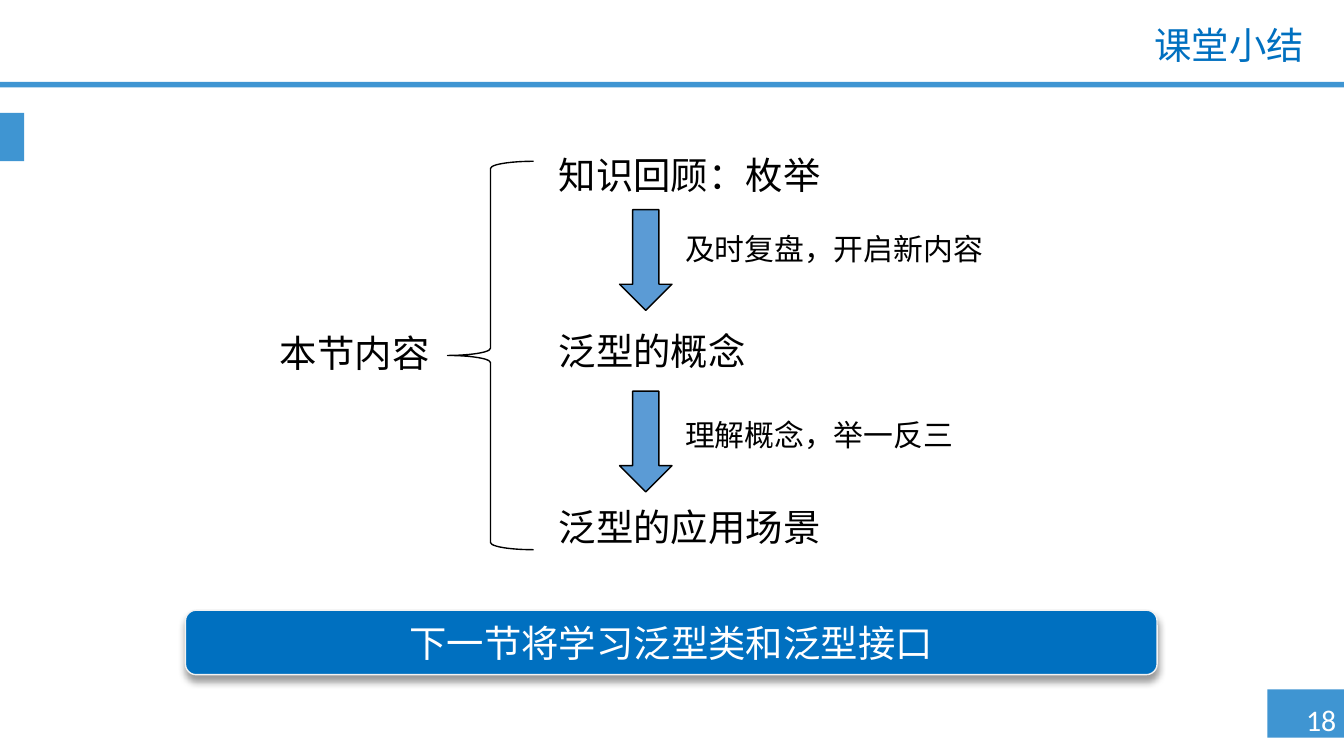
from pptx import Presentation
from pptx.dml.color import RGBColor
from pptx.enum.shapes import MSO_SHAPE as Preset
from pptx.enum.text import MSO_ANCHOR as Anchor, PP_ALIGN as Align
from pptx.oxml import parse_xml
from pptx.oxml.ns import nsdecls, qn
from pptx.util import Inches, Pt

COLORS = {
    "bar": "3F95D2",
    "accent": "0070C0",
    "arrow": "5B9BD5",
    "black": "000000",
    "white": "FFFFFF",
    "border": "F2F2F2",
}


def rgb(name):
    return RGBColor.from_string(COLORS[name])


def add_shape(parent, preset, left, top, width, height, fill=None, line=None):
    shape = parent.shapes.add_shape(
        preset, Inches(left), Inches(top), Inches(width), Inches(height))
    shape.shadow.inherit = False
    if fill:
        shape.fill.solid()
        shape.fill.fore_color.rgb = rgb(fill)
    else:
        shape.fill.background()
    if line:
        shape.line.color.rgb = rgb(line)
        shape.line.width = Pt(0.75)
    else:
        shape.line.fill.background()
    return shape


def write_text(shape, text, size=20, color="black", font="Arial",
               align=Align.LEFT, anchor=Anchor.TOP, wrap=True, spacing=None):
    frame = shape.text_frame
    frame.word_wrap = wrap
    frame.vertical_anchor = anchor
    paragraph = frame.paragraphs[0]
    paragraph.alignment = align
    if spacing:
        paragraph.line_spacing = spacing
    run = paragraph.add_run()
    run.text = text
    run.font.size = Pt(size)
    run.font.name = font
    run.font.color.rgb = rgb(color)


def add_text(parent, text, left, top, width, height, **text_format):
    box = parent.shapes.add_textbox(
        Inches(left), Inches(top), Inches(width), Inches(height))
    write_text(box, text, **text_format)


def add_frame(slide, width, title, number):
    # Header rule, side tab and page number block
    add_shape(slide, Preset.RECTANGLE, width - 0.57, 5.13, 0.57, 0.36, fill="bar")
    add_shape(slide, Preset.RECTANGLE, 0, 0.61, width, 0.04, fill="bar")
    add_shape(slide, Preset.RECTANGLE, 0, 0.84, 0.18, 0.36, fill="bar")
    add_text(slide, number, width - 0.43, 5.17, 0.52, 0.37, size=16,
             color="white", font="Calibri", align=Align.CENTER, wrap=False)
    add_text(slide, title, 2.4, 0.15, width - 2.6, 0.4, color="accent",
             align=Align.RIGHT, anchor=Anchor.MIDDLE, spacing=0.9)


def add_overview(slide, left, top, heading, topics, transitions):
    # Heading with its brace
    outline = slide.shapes.add_group_shape()
    add_shape(outline, Preset.LEFT_BRACE, left + 1.87, top + 0.12, 0.64, 2.89,
              line="black")
    add_text(outline, heading, left, top + 1.33, 2.36, 0.44, align=Align.CENTER)

    # Topics at equal steps
    for index, topic in enumerate(topics):
        add_text(slide, topic, left + 2.6, top + 1.31 * index, 4.63, 0.44)

    # Arrows from each topic to the next
    for index, (note, note_offset) in enumerate(transitions):
        step = slide.shapes.add_group_shape()
        arrow_top = top + 0.48 + 1.35 * index
        add_shape(step, Preset.DOWN_ARROW, left + 3.15, arrow_top, 0.39, 0.75,
                  fill="arrow", line="black")
        add_text(step, note, left + 3.54, arrow_top + note_offset, 3.49, 0.37,
                 size=16)


def add_banner(slide, left, top, width, height, text):
    banner = add_shape(slide, Preset.ROUNDED_RECTANGLE, left, top, width, height,
                       fill="accent", line="border")
    write_text(banner, text, color="white", align=Align.CENTER,
               anchor=Anchor.MIDDLE)
    # Soft shadow below the banner
    effects = banner._element.spPr.find(qn("a:effectLst"))
    effects.append(parse_xml(
        f'<a:outerShdw {nsdecls("a")} blurRad="{Pt(4)}" dist="{Pt(3)}" '
        f'dir="5400000" rotWithShape="0"><a:srgbClr val="{COLORS["black"]}">'
        '<a:alpha val="40000"/></a:srgbClr></a:outerShdw>'))


def main():
    presentation = Presentation()
    # Widescreen 16:9
    presentation.slide_width = Inches(10)
    presentation.slide_height = Inches(10) * 9 // 16
    slide = presentation.slides.add_slide(presentation.slide_layouts[6])

    add_frame(slide, 10, "课堂小结", "18")
    add_overview(
        slide, 1.46, 1.08, "本节内容",
        ["知识回顾：枚举", "泛型的概念", "泛型的应用场景"],
        [("及时复盘，开启新内容", 0.11), ("理解概念，举一反三", 0.14)])
    add_banner(slide, 1.38, 4.54, 7.23, 0.48, "下一节将学习泛型类和泛型接口")

    presentation.save("out.pptx")


if __name__ == "__main__":
    main()
